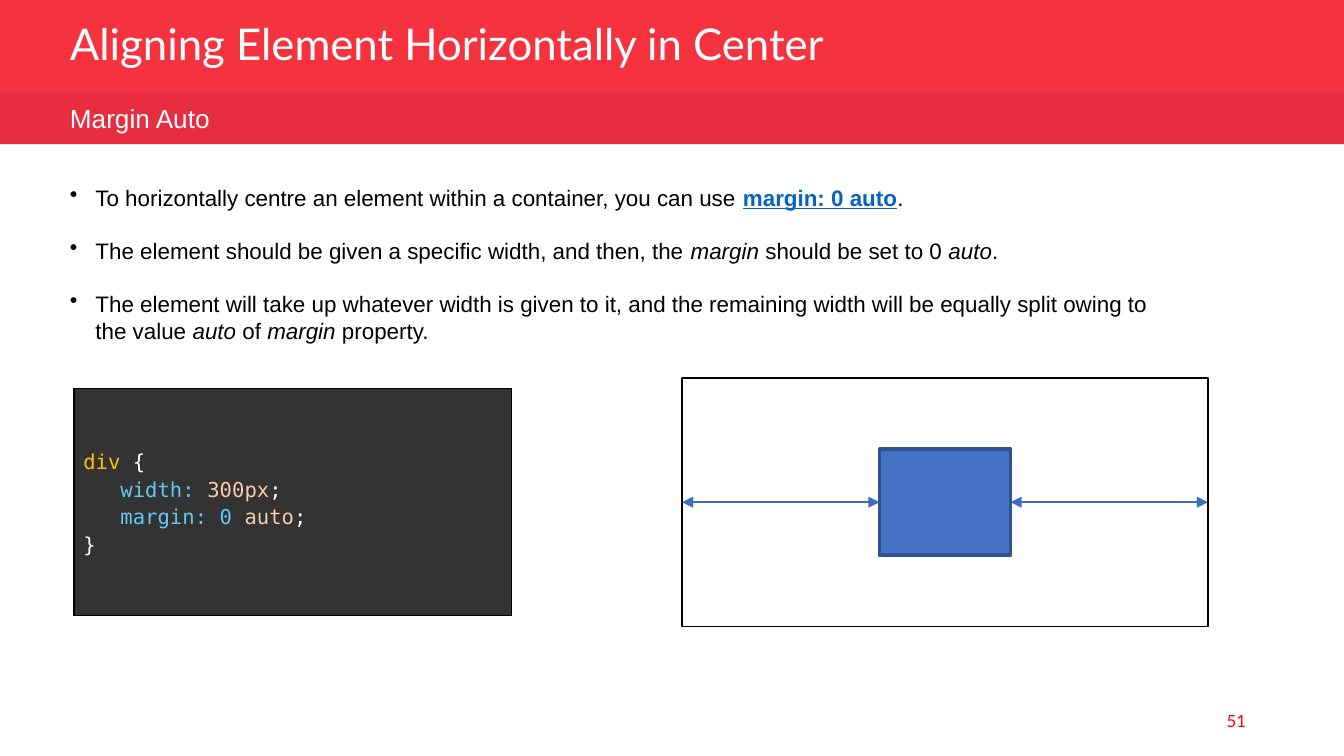
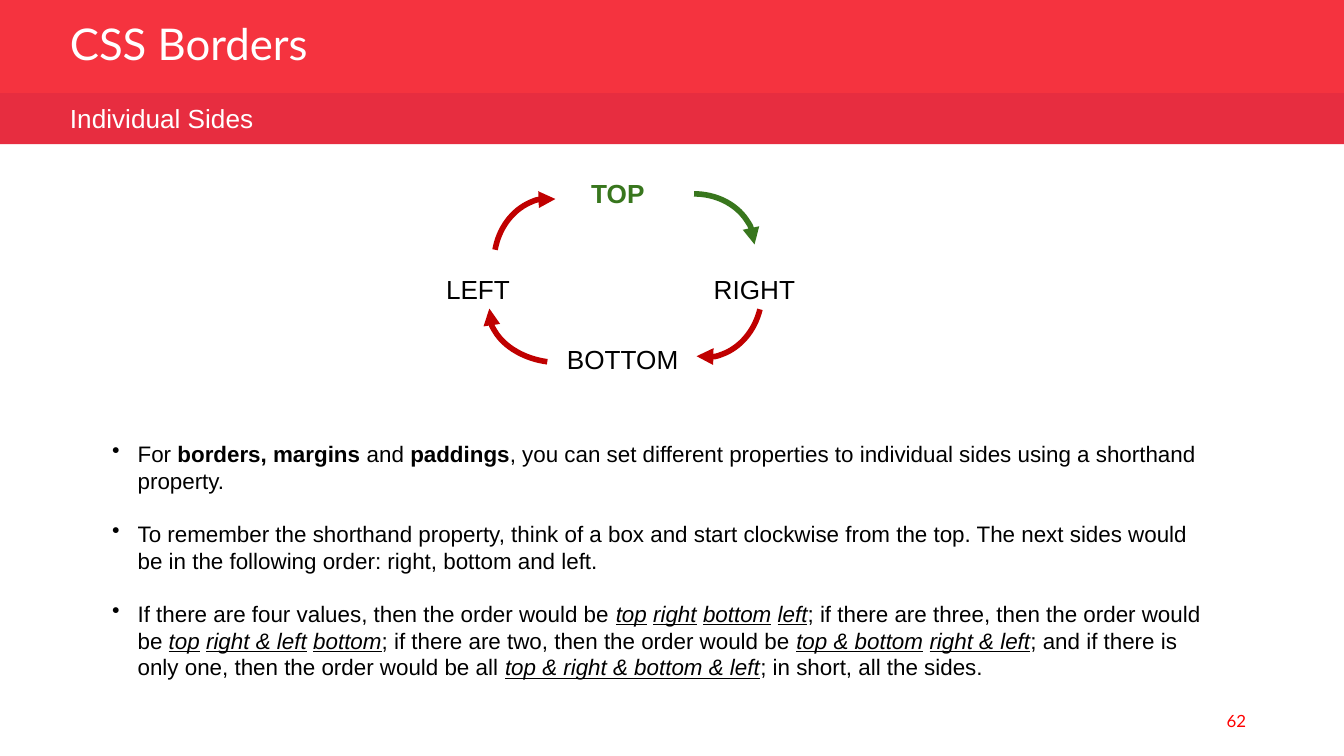
import dataclasses

import lxml.etree
import pptx
import pptx.dml.color
import pptx.enum.shapes
import pptx.enum.text
import pptx.oxml.ns
import pptx.util

SHAPES = pptx.enum.shapes.MSO_SHAPE
ALIGN = pptx.enum.text.PP_ALIGN
ANCHOR = pptx.enum.text.MSO_ANCHOR
COLUMNS, ROWS = 100, 56.25
CELL = 0.1


@dataclasses.dataclass(frozen=True)
class Theme:
    band: str = "F5333F"
    subband: str = "E72D40"
    white: str = "FFFFFF"
    black: str = "000000"
    page: str = "FF0000"
    keyword: str = "0563C1"
    code_back: str = "333333"
    code_tag: str = "FFC000"
    code_name: str = "62C8F3"
    code_value: str = "F7CAAC"
    box: str = "4472C4"
    box_edge: str = "31538F"
    span: str = "3E6EC2"
    start: str = "38761D"
    turn: str = "C00000"
    heading_font: str = "Lato"
    body_font: str = "Arial"
    code_font: str = "DejaVu Sans Mono"
    title_size: float = 23.4
    label_size: float = 14
    body_size: float = 12
    code_size: float = 11
    page_size: float = 9


THEME = Theme()


def rgb(color):
    return pptx.dml.color.RGBColor.from_string(color)


def grid(*cells):
    return [pptx.util.Inches(cell * CELL) for cell in cells]


def add_xml(parent, tag, **attributes):
    return lxml.etree.SubElement(parent, pptx.oxml.ns.qn(tag), attributes)


def add_bullet(paragraph):
    properties = paragraph._p.get_or_add_pPr()
    indent = pptx.util.Inches(0.19)
    properties.set("marL", str(indent))
    properties.set("indent", str(-indent))
    add_xml(add_xml(properties, "a:buClr"), "a:srgbClr", val=THEME.black)
    add_xml(properties, "a:buChar", char="•")


def write(frame, paragraphs, size=THEME.body_size, font=THEME.body_font,
          color=THEME.black, align=ALIGN.LEFT, spacing=None, gap=0,
          bullets=False):
    for index, runs in enumerate(paragraphs):
        paragraph = frame.add_paragraph() if index else frame.paragraphs[0]
        if bullets:
            add_bullet(paragraph)
        paragraph.alignment = align
        paragraph.line_spacing = spacing
        paragraph.space_after = pptx.util.Pt(gap)
        for piece in [runs] if isinstance(runs, str) else runs:
            words, marks, tint = (piece, "", color) if isinstance(piece, str) else piece
            run = paragraph.add_run()
            run.text = words
            run.font.size = pptx.util.Pt(size)
            run.font.name = font
            run.font.color.rgb = rgb(tint or color)
            run.font.bold = "b" in marks
            run.font.italic = "i" in marks
            run.font.underline = "u" in marks


def add_text(slide, cells, paragraphs, anchor=ANCHOR.TOP, wrap=True, **text_format):
    frame = slide.shapes.add_textbox(*grid(*cells)).text_frame
    frame.word_wrap = wrap
    frame.vertical_anchor = anchor
    write(frame, paragraphs, **text_format)


def add_figure(slide, kind, cells, fill=None, line=None, width=1):
    figure = slide.shapes.add_shape(kind, *grid(*cells))
    figure.shadow.inherit = False
    if fill:
        figure.fill.solid()
        figure.fill.fore_color.rgb = rgb(fill)
    else:
        figure.fill.background()
    if line:
        figure.line.color.rgb = rgb(line)
        figure.line.width = pptx.util.Pt(width)
    else:
        figure.line.fill.background()
    return figure


def add_arrowheads(figure, *ends):
    outline = figure.element.spPr.find(pptx.oxml.ns.qn("a:ln"))
    for end in ends:
        add_xml(outline, end, type="triangle")


def add_span(slide, start, end, row):
    span = slide.shapes.add_connector(
        pptx.enum.shapes.MSO_CONNECTOR.STRAIGHT, *grid(start, row, end, row))
    span.line.color.rgb = rgb(THEME.span)
    span.line.width = pptx.util.Pt(0.75)
    add_arrowheads(span, "a:headEnd", "a:tailEnd")
    add_xml(span.element.spPr, "a:effectLst")


def add_turn(slide, cells, rotation, color):
    turn = add_figure(slide, SHAPES.ARC, cells, line=color, width=3)
    turn.adjustments[0] = 162
    turn.adjustments[1] = 215.34
    turn.rotation = rotation
    add_arrowheads(turn, "a:tailEnd")


def add_code(slide, cells, lines):
    table = slide.shapes.add_table(1, 1, *grid(*cells)).table
    table.first_row = table.horz_banding = False
    code = table.cell(0, 0)
    code.margin_left = code.margin_right = pptx.util.Inches(0.07)
    code.margin_top = code.margin_bottom = pptx.util.Inches(0.07)
    code.vertical_anchor = ANCHOR.MIDDLE
    properties = code._tc.get_or_add_tcPr()
    for side in ("a:lnL", "a:lnR", "a:lnT", "a:lnB"):
        border = add_xml(properties, side, w=str(pptx.util.Pt(0.75)))
        add_xml(add_xml(border, "a:solidFill"), "a:srgbClr", val=THEME.black)
    code.fill.solid()
    code.fill.fore_color.rgb = rgb(THEME.code_back)
    write(code.text_frame, lines, size=THEME.code_size, font=THEME.code_font,
          color=THEME.white, spacing=1.15)


def add_points(slide, cells, points):
    add_text(slide, cells, points, bullets=True, gap=14)


def add_page(deck, title, subtitle, number):
    slide = deck.slides.add_slide(deck.slide_layouts[6])
    add_figure(slide, SHAPES.RECTANGLE, (0, 0, COLUMNS, 7), fill=THEME.band)
    add_figure(slide, SHAPES.RECTANGLE, (0, 6.92, COLUMNS, 3.8), fill=THEME.subband)
    add_text(slide, (4.22, 1.4, 74, 4.4), [title], anchor=ANCHOR.MIDDLE, spacing=0.8,
             size=THEME.title_size, font=THEME.heading_font, color=THEME.white)
    add_text(slide, (4.22, 7.15, 50.9, 3.4), [subtitle],
             size=THEME.label_size, color=THEME.white)
    add_text(slide, (71.2, 52.15, 22.5, 3), [number], anchor=ANCHOR.MIDDLE,
             align=ALIGN.RIGHT, size=THEME.page_size, font=THEME.heading_font,
             color=THEME.page)
    return slide


def add_centred_box(slide, left, top, width, height, box_width, box_height):
    add_figure(slide, SHAPES.RECTANGLE, (left, top, width, height), line=THEME.black)
    box_left = left + (width - box_width) / 2
    box_top = top + (height - box_height) / 2
    add_figure(slide, SHAPES.RECTANGLE, (box_left, box_top, box_width, box_height),
               fill=THEME.box, line=THEME.box_edge, width=2)
    middle = top + height / 2
    add_span(slide, box_left + box_width, left + width, middle)
    add_span(slide, left, box_left, middle)


def build_centering(deck):
    slide = add_page(deck, "Aligning Element Horizontally in Center", "Margin Auto", "51")
    add_points(slide, (4.22, 13.2, 83.4, 13.1), [
        ["To horizontally centre an element within a container, you can use ",
         ("margin: 0 auto", "bu", THEME.keyword), "."],
        ["The element should be given a specific width, and then, the ",
         ("margin ", "i", None), "should be set to 0 ", ("auto", "i", None), "."],
        ["The element will take up whatever width is given to it, and the remaining "
         "width will be equally split owing to the value ",
         ("auto", "i", None), " of ", ("margin", "i", None), " property."],
    ])
    add_code(slide, (5.5, 28.92, 32.55, 16.9), [
        [("div", "", THEME.code_tag), (" ", "", THEME.code_name), "{",
         (" ", "", THEME.code_name)],
        [("   width: ", "", THEME.code_name), ("300px", "", THEME.code_value), ";"],
        [("   margin: 0 ", "", THEME.code_name), ("auto", "", THEME.code_value), ";"],
        "}",
    ])
    add_centred_box(slide, 50.75, 28.12, 39.13, 18.5, 9.74, 7.9)


def build_sides(deck):
    slide = add_page(deck, "CSS Borders", "Individual Sides", "62")
    for side, cells in (("RIGHT", (52.12, 19.85, 8.1, 3.4)),
                        ("BOTTOM", (41.2, 25.05, 10.4, 3.4)),
                        ("LEFT", (32.2, 19.85, 6.8, 3.4))):
        add_text(slide, cells, [side], wrap=False, size=THEME.label_size)
    add_text(slide, (43, 12.7, 6.1, 3.4), [[("TOP", "b", THEME.start)]],
             wrap=False, size=THEME.label_size)
    for cells, rotation, color in (((47.15, 14.43, 9, 7.7), 0, THEME.start),
                                   ((48.3, 18.27, 9, 7.7), 103.6, THEME.turn),
                                   ((36.37, 20.05, 9.6, 6.9), 187.6, THEME.turn),
                                   ((36.13, 15.4, 9, 7.7), 280, THEME.turn)):
        add_turn(slide, cells, rotation, color)

    def values(*names):
        runs = []
        for name in names:
            runs += [(" ", "i", None)] if runs else []
            runs.append((name, "iu", None))
        return runs

    add_points(slide, (7.36, 32.25, 83.4, 19.9), [
        ["For ", ("borders, margins ", "b", None), "and ", ("paddings", "b", None),
         ", you can set different properties to individual sides using a shorthand "
         "property."],
        "To remember the shorthand property, think of a box and start clockwise from "
        "the top. The next sides would be in the following order: right, bottom and left.",
        ["If there are four values, then the order would be ",
         *values("top", "right", "bottom", "left"),
         "; if there are three, then the order would be ",
         *values("top", "right & left", "bottom"),
         "; if there are two, then the order would be ",
         *values("top & bottom", "right & left"),
         "; and if there is only one, then the order would be all ",
         *values("top & right & bottom & left"),
         "; in short, all the sides."],
    ])


def main():
    deck = pptx.Presentation()
    deck.slide_width, deck.slide_height = grid(COLUMNS, ROWS)
    build_centering(deck)
    build_sides(deck)
    deck.save("out.pptx")


if __name__ == "__main__":
    main()
